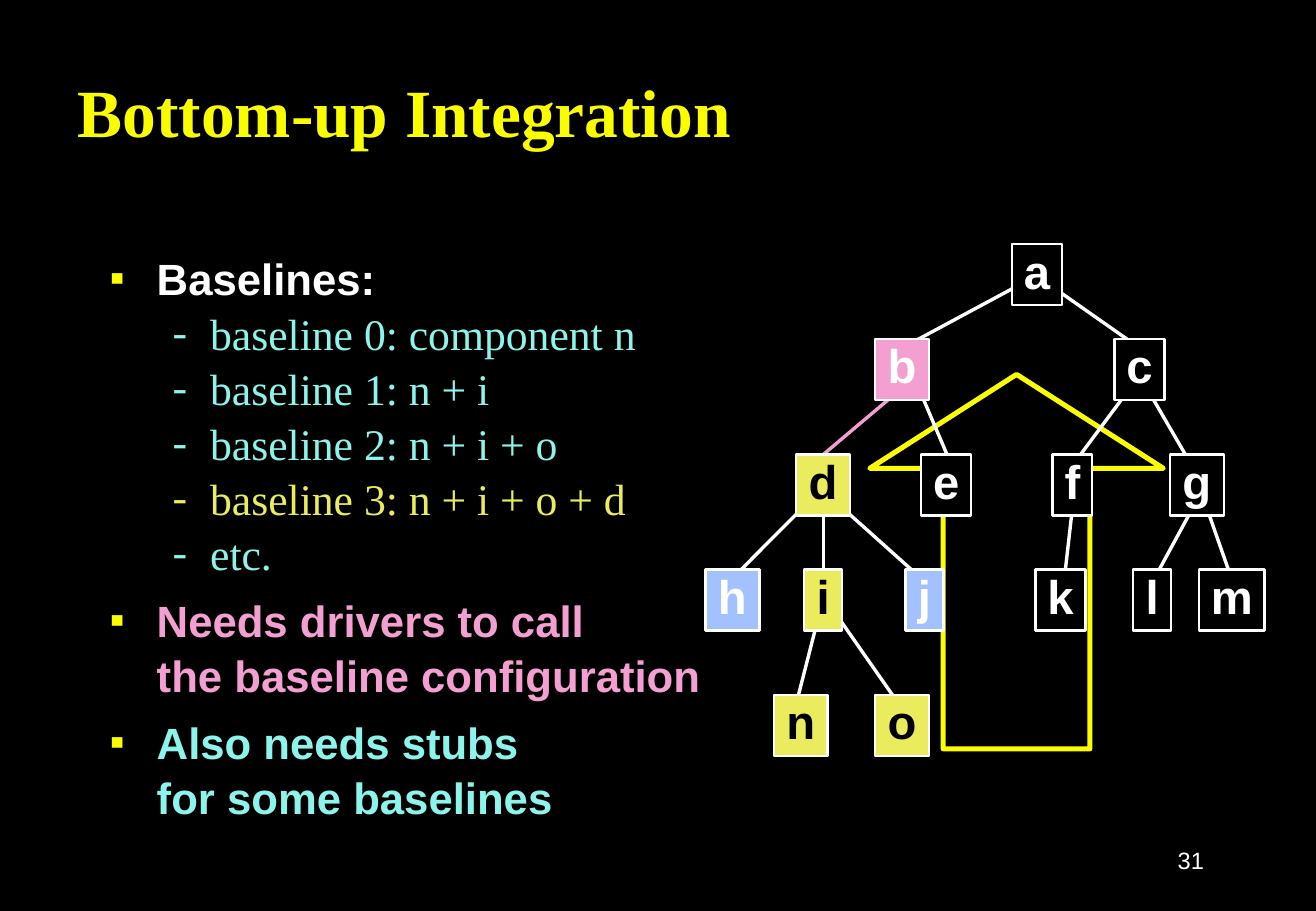
import dataclasses

import pptx
import pptx.dml.color
import pptx.enum.shapes
import pptx.enum.text
import pptx.oxml
import pptx.oxml.ns
import pptx.util

WIDTH, HEIGHT = pptx.util.Inches(10.84), pptx.util.Inches(7.5)
COLOURS = {
    "black": "000000", "white": "FFFFFF", "bright": "FAFD00", "yellow": "EAEC5E",
    "pink": "F39FD1", "blue": "A2C1FE", "aqua": "8CF4EA",
}
SANS, SERIF = "Arial", "Times New Roman"
# Tree rows: top of each level, in percent of the slide height
LEVELS = [26.8, 37.2, 49.9, 62.5, 76.3]
NODE_HEIGHT = 6.7
ALIGN = pptx.enum.text.PP_ALIGN


@dataclasses.dataclass
class Node:
    """A tree box; left and width are percent of the slide width."""
    label: str
    level: int
    left: float
    width: float
    fill: str = "black"
    text: str = "white"


@dataclasses.dataclass
class Edge:
    """A tree line; ends are percent of the slide's width and height."""
    x1: float
    y1: float
    x2: float
    y2: float
    colour: str = "white"


@dataclasses.dataclass
class Bullet:
    text: str
    colour: str
    nested: bool = False


NODES = [
    Node("a", 0, 76.9, 3.8),
    Node("b", 1, 66.5, 4.1, "pink"),
    Node("c", 1, 84.7, 3.8),
    Node("d", 2, 60.5, 4.1, "yellow", "black"),
    Node("e", 2, 70, 3.8),
    Node("f", 2, 80, 3),
    Node("g", 2, 88.9, 4.1),
    Node("h", 3, 53.6, 4.1, "blue"),
    Node("i", 3, 61.1, 2.9, "yellow", "black"),
    Node("j", 3, 68.8, 2.9, "blue"),
    Node("k", 3, 78.7, 3.8),
    Node("l", 3, 86.1, 2.9),
    Node("m", 3, 91.1, 5),
    Node("n", 4, 58.8, 4.1, "yellow", "black"),
    Node("o", 4, 66.5, 4.1, "yellow", "black"),
]
EDGES = [
    Edge(78.2, 30.7, 68.8, 38),
    Edge(79.2, 30.7, 86.7, 38.3),
    Edge(68.3, 42.9, 61.9, 50.7, "pink"),
    Edge(69.9, 42.9, 72.2, 50.7),
    Edge(86.8, 40.8, 81.7, 50.7),
    Edge(86.7, 41.5, 90.4, 50.7),
    Edge(62.4, 53.7, 55.3, 64),
    Edge(62.6, 55.6, 62.6, 63.3),
    Edge(63.9, 55.6, 70.4, 64),
    Edge(81.6, 54.4, 80.9, 63.3),
    Edge(90.7, 55.6, 87.8, 63.3),
    Edge(91.3, 54.1, 93.8, 64.4),
    Edge(62.5, 66, 60.5, 77.3),
    Edge(62.7, 65.7, 68.5, 77.7),
]
BULLETS = [
    Bullet("Baselines:", "white"),
    Bullet("baseline 0: component n", "aqua", True),
    Bullet("baseline 1: n + i", "aqua", True),
    Bullet("baseline 2: n + i + o", "aqua", True),
    Bullet("baseline 3: n + i + o + d", "yellow", True),
    Bullet("etc.", "aqua", True),
    Bullet("Needs drivers to call\vthe baseline configuration", "pink"),
    Bullet("Also needs stubs\vfor some baselines", "aqua"),
]


def across(percent: float) -> int:
    return round(WIDTH * percent / 100)


def down(percent: float) -> int:
    return round(HEIGHT * percent / 100)


def frame(left: float, top: float, width: float, height: float) -> tuple:
    return across(left), down(top), across(width), down(height)


def rgb(name: str) -> pptx.dml.color.RGBColor:
    return pptx.dml.color.RGBColor.from_string(COLOURS[name])


def set_font(paragraph, face: str, size: float, colour: str, bold: bool) -> None:
    font = paragraph.font
    font.name, font.size, font.bold = face, pptx.util.Pt(size), bold
    font.color.rgb = rgb(colour)


def add_outlined(slide, kind, box: tuple, fill: str, line: str, weight: float):
    shape = slide.shapes.add_shape(kind, *box)
    shape.shadow.inherit = False
    shape.fill.solid()
    shape.fill.fore_color.rgb = rgb(fill)
    shape.line.color.rgb = rgb(line)
    shape.line.width = pptx.util.Pt(weight)
    return shape


def add_node(slide, node: Node) -> None:
    box = frame(node.left, LEVELS[node.level], node.width, NODE_HEIGHT)
    rectangle = pptx.enum.shapes.MSO_SHAPE.RECTANGLE
    text_frame = add_outlined(slide, rectangle, box, node.fill, "white", 1.5).text_frame
    text_frame.word_wrap = False
    text_frame.vertical_anchor = pptx.enum.text.MSO_ANCHOR.MIDDLE
    paragraph = text_frame.paragraphs[0]
    paragraph.text = node.label
    paragraph.alignment = ALIGN.CENTER
    paragraph.line_spacing = 0.85
    set_font(paragraph, SANS, 28, node.text, True)


def add_edge(slide, edge: Edge) -> None:
    connector = slide.shapes.add_connector(
        pptx.enum.shapes.MSO_CONNECTOR.STRAIGHT,
        across(edge.x1), down(edge.y1), across(edge.x2), down(edge.y2))
    connector.line.color.rgb = rgb(edge.colour)
    connector.line.width = pptx.util.Pt(2)
    properties = connector._element.spPr
    properties.append(properties.makeelement(pptx.oxml.ns.qn("a:effectLst"), {}))


def add_label(slide, text: str, box: tuple, face: str, size: float, colour: str,
              bold: bool, alignment, wrap: bool) -> None:
    text_frame = slide.shapes.add_textbox(*box).text_frame
    text_frame.word_wrap = wrap
    text_frame.vertical_anchor = pptx.enum.text.MSO_ANCHOR.MIDDLE
    paragraph = text_frame.paragraphs[0]
    paragraph.text = text
    paragraph.alignment = alignment
    set_font(paragraph, face, size, colour, bold)


def format_bullet(paragraph, bullet: Bullet) -> None:
    margin, hang, mark, share, colour = (
        (0.82, 0.31, "-", 100, bullet.colour) if bullet.nested
        else (0.38, 0.38, "■", 50, "bright"))
    paragraph.text = bullet.text
    paragraph.line_spacing = 1.05
    paragraph.space_before = pptx.util.Pt(0 if bullet.nested else 7)
    properties = paragraph._p.get_or_add_pPr()
    properties.set("marL", str(pptx.util.Inches(margin)))
    properties.set("indent", str(-pptx.util.Inches(hang)))
    namespace = pptx.oxml.ns.nsdecls("a")
    for markup in (
        f'<a:buClr {namespace}><a:srgbClr val="{COLOURS[colour]}"/></a:buClr>',
        f'<a:buSzPct {namespace} val="{share * 1000}"/>',
        f'<a:buFont {namespace} typeface="{SERIF if bullet.nested else SANS}"/>',
        f'<a:buChar {namespace} char="{mark}"/>',
    ):
        properties.append(pptx.oxml.parse_xml(markup))
    face = SERIF if bullet.nested else SANS
    set_font(paragraph, face, 25.9, bullet.colour, not bullet.nested)


def main() -> None:
    presentation = pptx.Presentation()
    presentation.slide_width, presentation.slide_height = WIDTH, HEIGHT
    slide = presentation.slides.add_slide(presentation.slide_layouts[6])
    slide.background.fill.solid()
    slide.background.fill.fore_color.rgb = rgb("black")

    # Upward arrow behind the component tree
    arrow = add_outlined(slide, pptx.enum.shapes.MSO_SHAPE.UP_ARROW,
                         frame(66.1, 41.1, 22.3, 41.1), "black", "bright", 3)
    arrow.adjustments[0], arrow.adjustments[1] = 0.5, 0.32

    # Component tree
    for edge in EDGES:
        add_edge(slide, edge)
    for node in NODES:
        add_node(slide, node)

    # Title, bullets and slide number
    add_label(slide, "Bottom-up Integration", frame(5, 7.7, 85, 8.9),
              SERIF, 40, "bright", True, ALIGN.LEFT, True)
    body = slide.shapes.add_textbox(*frame(7.5, 26.7, 85, 62.3)).text_frame
    body.word_wrap = True
    for index, bullet in enumerate(BULLETS):
        format_bullet(body.add_paragraph() if index else body.paragraphs[0], bullet)
    add_label(slide, "31", frame(71.6, 91.1, 20.8, 6.7),
              SANS, 14, "white", False, ALIGN.RIGHT, False)

    presentation.save("out.pptx")


if __name__ == "__main__":
    main()
